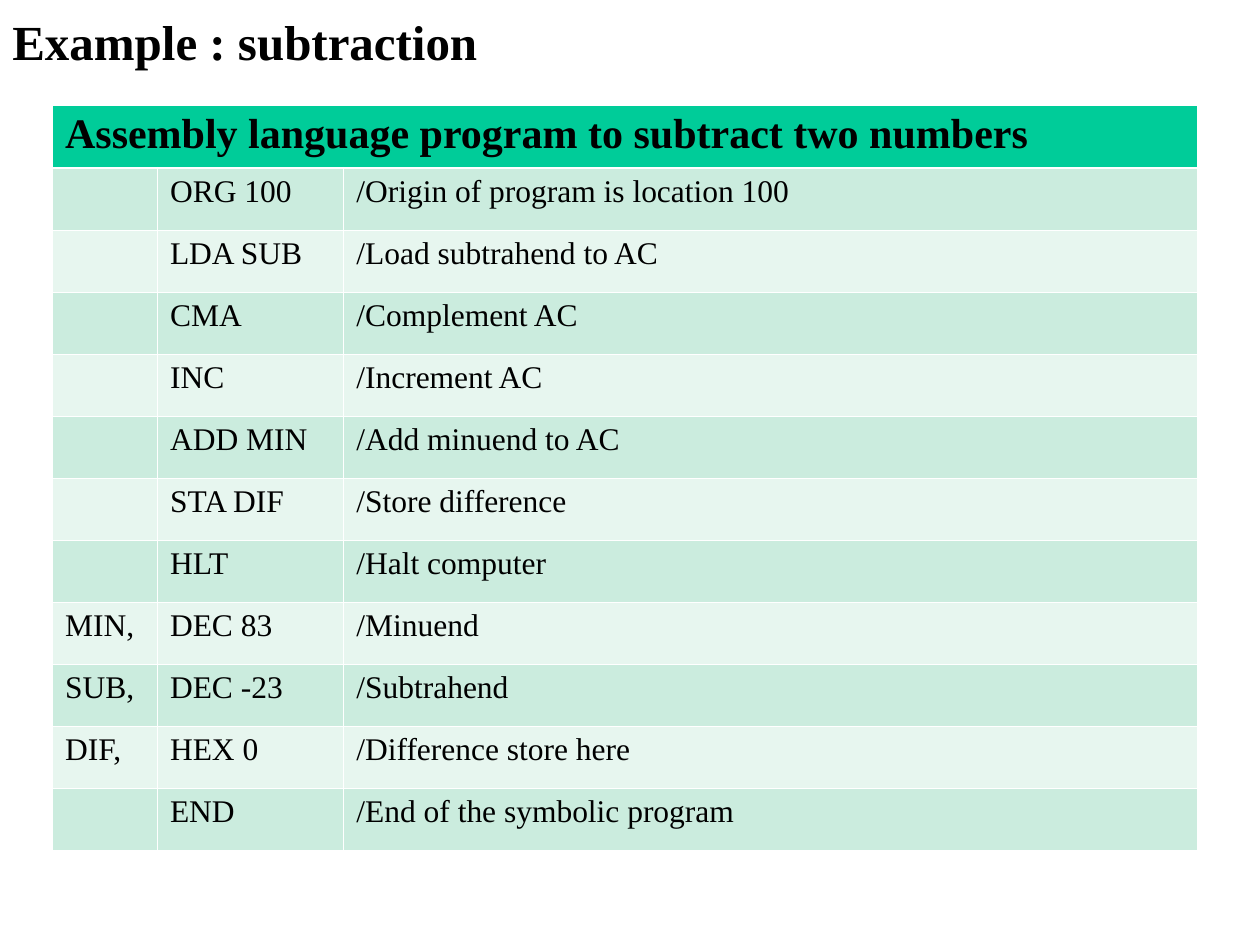
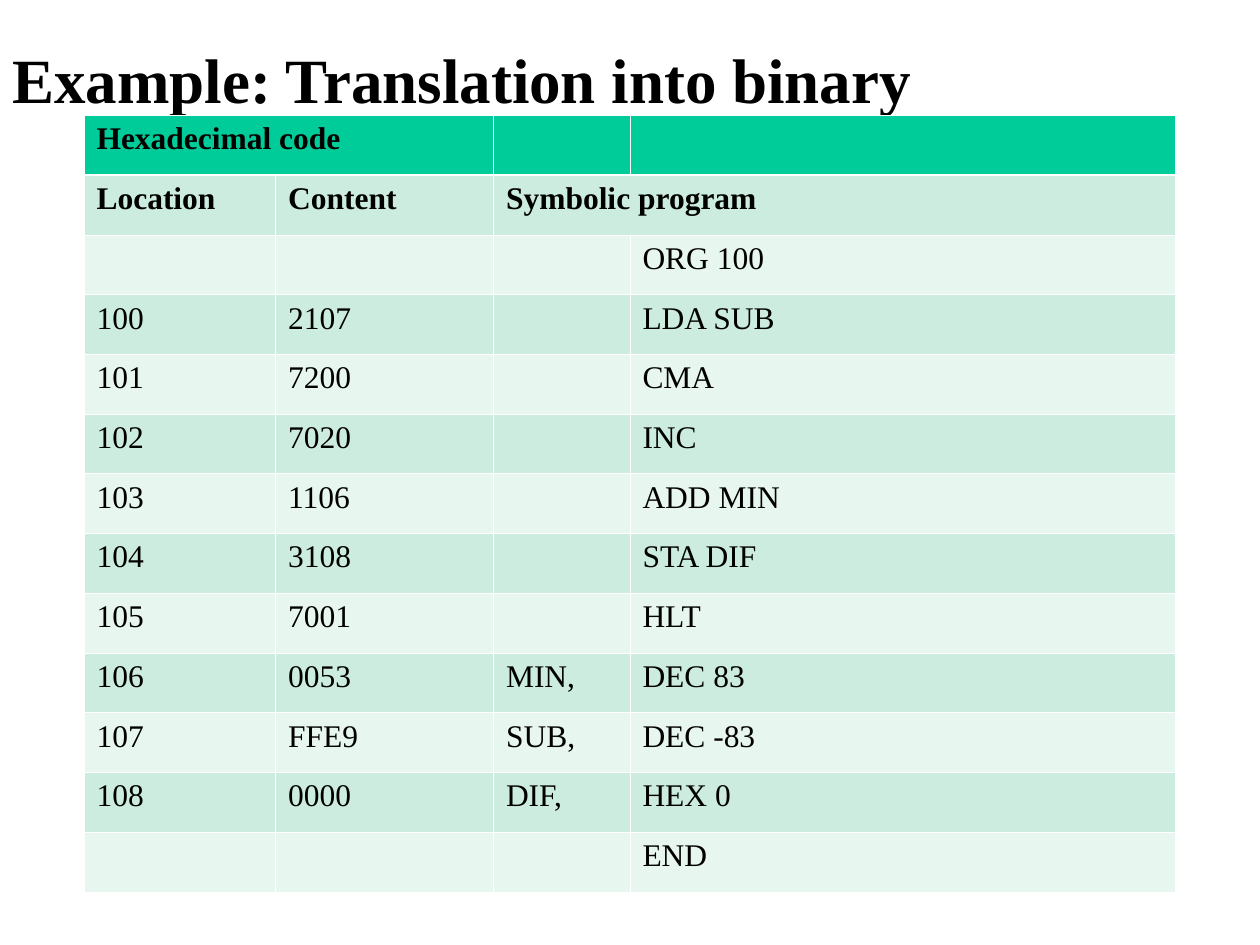
from lxml import etree
from pptx import Presentation
from pptx.dml.color import RGBColor
from pptx.enum.text import MSO_ANCHOR, PP_ALIGN
from pptx.oxml.ns import qn
from pptx.util import Pt

MIDDLE = MSO_ANCHOR.MIDDLE
LEFT = PP_ALIGN.LEFT

FONT = "Times New Roman"
COLORS = {
    "text": "000000",
    "rule": "FFFFFF",
    "header": "00CC99",
    "dark_band": "CBECDE",
    "light_band": "E7F6EF",
}
THIN_RULE, HEADER_RULE = 0.5, 1.5
BODY_SIZE = 18

SUBTRACTION_ROWS = [
    ("Assembly language program to subtract two numbers", "", ""),
    ("", "ORG 100", "/Origin of program is location 100"),
    ("", "LDA SUB", "/Load subtrahend to AC"),
    ("", "CMA", "/Complement AC"),
    ("", "INC", "/Increment AC"),
    ("", "ADD MIN", "/Add minuend to AC"),
    ("", "STA DIF", "/Store difference"),
    ("", "HLT", "/Halt computer"),
    ("MIN,", "DEC 83", "/Minuend"),
    ("SUB,", "DEC -23", "/Subtrahend"),
    ("DIF,", "HEX 0", "/Difference store here"),
    ("", "END", "/End of the symbolic program"),
]

TRANSLATION_ROWS = [
    ("Hexadecimal code", "", "", ""),
    ("Location", "Content", "Symbolic program", ""),
    ("", "", "", "ORG 100"),
    ("100", "2107", "", "LDA SUB"),
    ("101", "7200", "", "CMA"),
    ("102", "7020", "", "INC"),
    ("103", "1106", "", "ADD MIN"),
    ("104", "3108", "", "STA DIF"),
    ("105", "7001", "", "HLT"),
    ("106", "0053", "MIN,", "DEC 83"),
    ("107", "FFE9", "SUB,", "DEC -83"),
    ("108", "0000", "DIF,", "HEX 0"),
    ("", "", "", "END"),
]


def write_text(frame, text, size=BODY_SIZE, bold=False, color="text"):
    para = frame.paragraphs[0]
    para.alignment = LEFT
    span = para.add_run()
    span.text = text
    span.font.name = FONT
    span.font.size = Pt(size)
    span.font.bold = bold
    span.font.color.rgb = RGBColor.from_string(COLORS[color])


def add_title(page, text, box, size):
    left, top, width, height = map(Pt, box)
    frame = page.shapes.add_textbox(left, top, width, height).text_frame
    frame.word_wrap = True
    frame.vertical_anchor = MIDDLE
    # The title sits slightly below the middle of its box
    frame.margin_top, frame.margin_bottom = Pt(6.2), Pt(1)
    write_text(frame, text, size=size, bold=True)


def draw_borders(cell, row):
    """Thin rules all round, with a heavier one under the header row."""
    widths = {
        "lnL": THIN_RULE,
        "lnR": THIN_RULE,
        "lnT": HEADER_RULE if row == 1 else THIN_RULE,
        "lnB": HEADER_RULE if row == 0 else THIN_RULE,
    }
    properties = cell._tc.get_or_add_tcPr()
    for side, width in widths.items():
        line = etree.SubElement(properties, qn(f"a:{side}"), w=str(Pt(width)))
        fill = etree.SubElement(line, qn("a:solidFill"))
        etree.SubElement(fill, qn("a:srgbClr"), val=COLORS["rule"])


def band_color(row):
    if row == 0:
        return COLORS["header"]
    return COLORS["dark_band" if row % 2 else "light_band"]


def add_program_table(page, rows, box, column_widths, header_height,
                      merges, header_size=BODY_SIZE, bold_rows=1):
    left, top, width, height = map(Pt, box)
    table = page.shapes.add_table(
        len(rows), len(column_widths), left, top, width, height).table

    # Columns as given, body rows sharing the height below the header
    for column, column_width in zip(table.columns, column_widths):
        column.width = Pt(column_width)
    body_height = (box[3] - header_height) / (len(rows) - 1)
    for index, table_row in enumerate(table.rows):
        table_row.height = Pt(body_height if index else header_height)

    # Cell borders, fills and text
    for row, texts in enumerate(rows):
        for column, text in enumerate(texts):
            cell = table.cell(row, column)
            draw_borders(cell, row)
            cell.fill.solid()
            cell.fill.fore_color.rgb = RGBColor.from_string(band_color(row))
            if text:
                write_text(cell.text_frame, text, bold=row < bold_rows,
                           size=BODY_SIZE if row else header_size)

    # Headings that run across several columns
    for row, first, last in merges:
        table.cell(row, first).merge(table.cell(row, last))


def add_subtraction_page(deck, layout):
    page = deck.slides.add_slide(layout)
    add_title(page, "Example : subtraction", (0, 0, 702, 42), size=28)
    add_program_table(page, SUBTRACTION_ROWS, (30, 60, 654, 426),
                      column_widths=(60, 106.5, 487.5), header_height=36,
                      merges=[(0, 0, 2)], header_size=24)


def add_translation_page(deck, layout):
    page = deck.slides.add_slide(layout)
    add_title(page, "Example: Translation into binary",
              (0, 0, 720, 84), size=36)
    add_program_table(page, TRANSLATION_ROWS, (48, 66, 624, 444),
                      column_widths=(109.5, 124.5, 78, 312),
                      header_height=34.15,
                      merges=[(0, 0, 1), (1, 2, 3)], bold_rows=2)


def main():
    deck = Presentation()
    deck.slide_width, deck.slide_height = Pt(720), Pt(540)
    blank_layout = deck.slide_layouts[6]
    add_subtraction_page(deck, blank_layout)
    add_translation_page(deck, blank_layout)
    deck.save("out.pptx")


if __name__ == "__main__":
    main()
